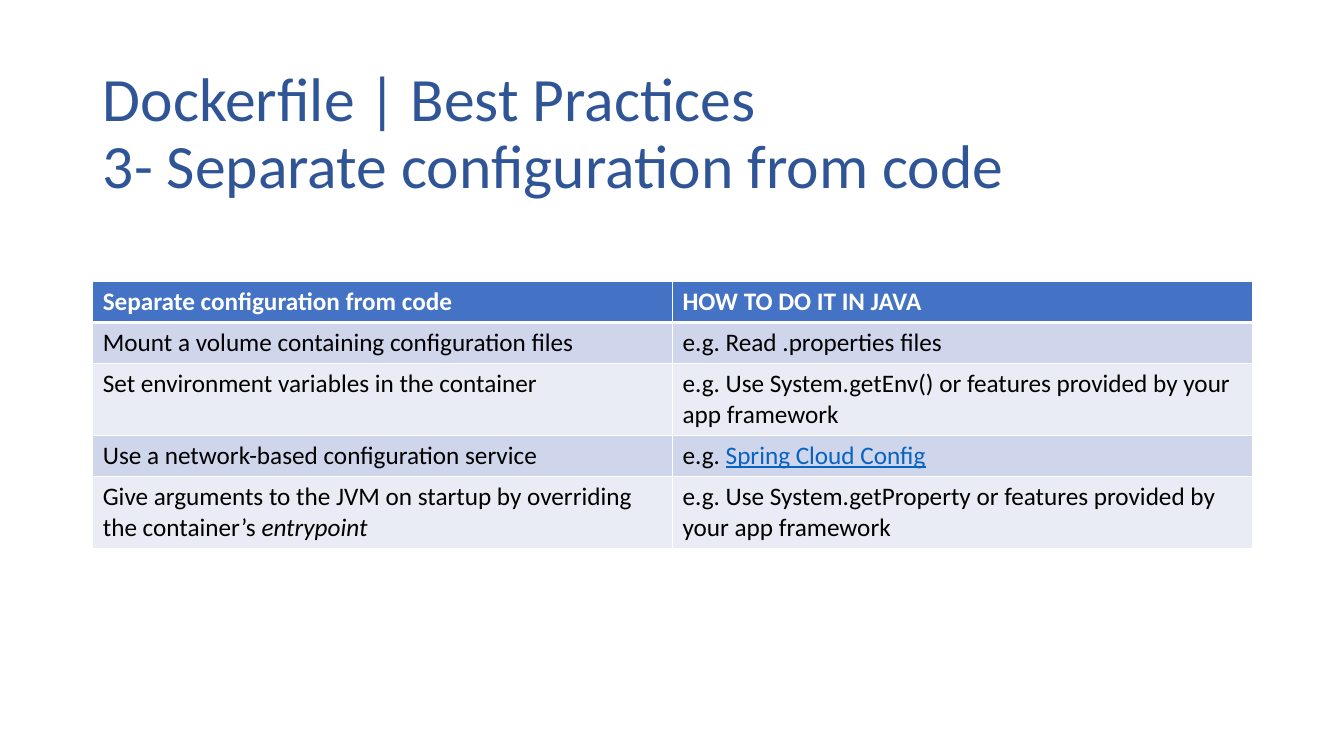
from typing import NamedTuple

from lxml import etree
from pptx import Presentation
from pptx.dml.color import RGBColor
from pptx.enum import text
from pptx.oxml import ns
from pptx.util import Inches, Pt

FONT = "Calibri"
TITLE_BLUE = RGBColor(0x2F, 0x55, 0x97)
HEADER_BLUE = RGBColor(0x44, 0x72, 0xC4)
BAND_DARK = RGBColor(0xCF, 0xD5, 0xEA)
BAND_LIGHT = RGBColor(0xE9, 0xEB, 0xF5)
LINK_BLUE = RGBColor(0x05, 0x63, 0xC1)
WHITE = RGBColor(0xFF, 0xFF, 0xFF)
BLACK = RGBColor(0x00, 0x00, 0x00)

LEFT, WIDTH = Inches(0.92), Inches(11.5)
ROW_HEIGHT = Inches(0.41)


class Span(NamedTuple):
    text: str
    italic: bool = False
    link: bool = False


class Row(NamedTuple):
    practice: list[Span]
    java: list[Span]


ROWS = [
    Row([Span("Separate configuration from code")], [Span("HOW TO DO IT IN JAVA")]),
    Row([Span("Mount a volume containing configuration files")],
        [Span("e.g. Read .properties files")]),
    Row([Span("Set environment variables in the container")],
        [Span("e.g. Use System.getEnv() or features provided by your app framework")]),
    Row([Span("Use a network-based configuration service")],
        [Span("e.g. "), Span("Spring Cloud Config", link=True)]),
    Row([Span("Give arguments to the JVM on startup by overriding the container’s "),
         Span("entrypoint", italic=True)],
        [Span("e.g. Use System.getProperty or features provided by your app framework")]),
]


def set_border(cell, side: str, points: float) -> None:
    """Add a white line to one side of a cell; call before filling the cell."""
    line = etree.SubElement(cell._tc.get_or_add_tcPr(), ns.qn(f"a:{side}"), w=str(Pt(points)))
    fill = etree.SubElement(line, ns.qn("a:solidFill"))
    etree.SubElement(fill, ns.qn("a:srgbClr"), val=str(WHITE))


def fill_cell(cell, spans: list[Span], fill: RGBColor, header: bool) -> None:
    for side in ("lnL", "lnR", "lnT"):
        set_border(cell, side, 1)
    set_border(cell, "lnB", 3 if header else 1)
    cell.fill.solid()
    cell.fill.fore_color.rgb = fill

    para = cell.text_frame.paragraphs[0]
    para.font.name = FONT
    para.font.size = Pt(18)
    para.font.bold = header
    para.font.color.rgb = WHITE if header else BLACK
    for span in spans:
        run = para.add_run()
        run.text = span.text
        if span.italic:
            run.font.italic = True
        if span.link:
            run.font.underline = True
            run.font.color.rgb = LINK_BLUE


def add_title(page) -> None:
    title = page.shapes.title
    title.left, title.top, title.width, title.height = LEFT, Inches(0.4), WIDTH, Inches(1.88)
    frame = title.text_frame
    frame.word_wrap = True
    frame.auto_size = text.MSO_AUTO_SIZE.NONE
    frame.vertical_anchor = text.MSO_ANCHOR.MIDDLE
    para = frame.paragraphs[0]
    para.alignment = text.PP_ALIGN.LEFT
    para.line_spacing = 0.9
    para.font.name = FONT
    para.font.size = Pt(44)
    para.font.color.rgb = TITLE_BLUE
    para.add_run().text = "Dockerfile | Best Practices"
    para.add_line_break()
    para.add_run().text = "3- Separate configuration from code"


def add_practices(page) -> None:
    table = page.shapes.add_table(
        len(ROWS), 2, LEFT, Inches(2.79), WIDTH, ROW_HEIGHT * len(ROWS)).table
    for index, row in enumerate(ROWS):
        header = index == 0
        fill = HEADER_BLUE if header else BAND_DARK if index % 2 else BAND_LIGHT
        for cell, spans in zip(table.rows[index].cells, row):
            fill_cell(cell, spans, fill, header)


def main() -> None:
    deck = Presentation()
    deck.slide_width, deck.slide_height = Inches(13.33), Inches(7.5)
    page = deck.slides.add_slide(deck.slide_layouts[5])  # title only
    add_title(page)
    add_practices(page)
    deck.save("out.pptx")


if __name__ == "__main__":
    main()
